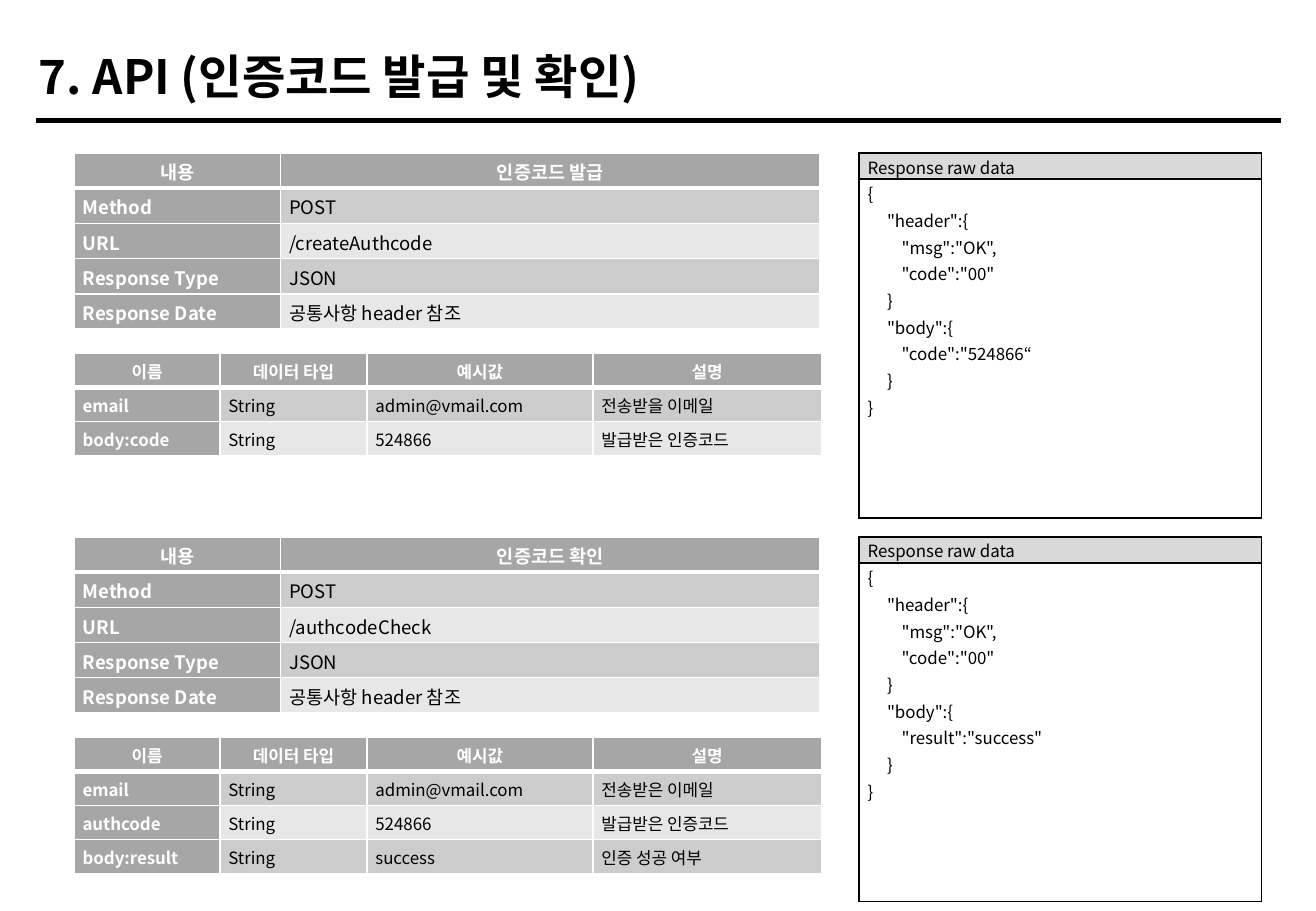
from lxml import etree
from pptx import Presentation
from pptx.dml.color import RGBColor
from pptx.enum import shapes, text
from pptx.oxml import ns
from pptx.util import Inches, Pt

FONT = "Noto Sans CJK KR"
BLACK = RGBColor(0x00, 0x00, 0x00)
WHITE = RGBColor(0xFF, 0xFF, 0xFF)
HEAD_GRAY = RGBColor(0xA6, 0xA6, 0xA6)
RAW_GRAY = RGBColor(0xD9, 0xD9, 0xD9)
BANDS = [RGBColor(0xCC, 0xCC, 0xCC), RGBColor(0xE7, 0xE7, 0xE7)]

# Content
TITLE = "7. API (인증코드 발급 및 확인)"
FIELD_HEAD = ("이름", "데이터 타입", "예시값", "설명")
RAW_HEAD = "Response raw data"
APIS = [
    {
        "name": "인증코드 발급",
        "url": "/createAuthcode",
        "fields": [
            ("email", "String", "admin@vmail.com", "전송받을 이메일"),
            ("body:code", "String", "524866", "발급받은 인증코드"),
        ],
        "body": '"code":"524866“',
    },
    {
        "name": "인증코드 확인",
        "url": "/authcodeCheck",
        "fields": [
            ("email", "String", "admin@vmail.com", "전송받은 이메일"),
            ("authcode", "String", "524866", "발급받은 인증코드"),
            ("body:result", "String", "success", "인증 성공 여부"),
        ],
        "body": '"result":"success"',
    },
]

# Layout, in inches
API_TOP, API_STEP = 1.26, 3.16
LEFT, RAW_LEFT = 0.61, 7.07
SUMMARY_COLS = [1.7, 4.44]
FIELD_COLS = [1.2, 1.21, 1.86, 1.88]
SUMMARY_ROW, FIELD_ROW = 0.29, 0.28
FIELDS_OFFSET = 1.65
RAW_ROWS = [0.18, 2.79]
JSON_INDENTS = [0, 0.16, 0.28]


def write(paragraph, words, size=10, color=BLACK, bold=False,
          align=text.PP_ALIGN.JUSTIFY, spacing=1.07, indent=0):
    paragraph.alignment = align
    paragraph.line_spacing = spacing
    if indent:
        paragraph._p.get_or_add_pPr().set("marL", str(Inches(indent)))
    run = paragraph.add_run()
    run.text = words
    run.font.name, run.font.size, run.font.bold = FONT, Pt(size), bold
    run.font.color.rgb = color
    east_asian = etree.SubElement(run._r.get_or_add_rPr(), ns.qn("a:ea"))
    east_asian.set("typeface", FONT)


def add_grid(slide, left, top, cols, rows):
    grid = slide.shapes.add_table(
        len(rows), len(cols), Inches(left), Inches(top),
        Inches(sum(cols)), Inches(sum(rows))).table
    grid.first_row = grid.horz_banding = False
    for column, width in zip(grid.columns, cols):
        column.width = Inches(width)
    for row, height in zip(grid.rows, rows):
        row.height = Inches(height)
    return grid


def style_cell(cell, fill, border, bottom=1, top=1):
    cell.margin_left = cell.margin_right = Inches(0.07)
    cell.margin_top = cell.margin_bottom = 0
    properties = cell._tc.get_or_add_tcPr()
    for side, width in (("L", 1), ("R", 1), ("T", top), ("B", bottom)):
        edge = etree.SubElement(properties, ns.qn(f"a:ln{side}"), w=str(Pt(width)))
        solid = etree.SubElement(edge, ns.qn("a:solidFill"))
        etree.SubElement(solid, ns.qn("a:srgbClr"), val=str(border))
    if fill is None:
        cell.fill.background()
    else:
        cell.fill.solid()
        cell.fill.fore_color.rgb = fill


def add_banded(slide, top, cols, row_height, records, size):
    grid = add_grid(slide, LEFT, top, cols, [row_height] * len(records))
    for r, record in enumerate(records):
        for c, words in enumerate(record):
            cell = grid.cell(r, c)
            heading = r == 0 or c == 0
            style_cell(cell, HEAD_GRAY if heading else BANDS[(r - 1) % 2], WHITE,
                       bottom=3 if r == 0 else 1, top=3 if r == 1 else 1)
            cell.vertical_anchor = text.MSO_ANCHOR.MIDDLE
            write(cell.text_frame.paragraphs[0], words, size=size, bold=heading,
                  color=WHITE if heading else BLACK,
                  align=text.PP_ALIGN.CENTER if r == 0 else text.PP_ALIGN.JUSTIFY)


def add_raw(slide, top, body):
    grid = add_grid(slide, RAW_LEFT, top, [3.31], RAW_ROWS)
    head, data = grid.cell(0, 0), grid.cell(1, 0)
    style_cell(head, RAW_GRAY, BLACK)
    write(head.text_frame.paragraphs[0], RAW_HEAD)
    style_cell(data, None, BLACK)
    lines = [(0, "{"), (1, '"header":{'), (2, '"msg":"OK",'), (2, '"code":"00"'),
             (1, "}"), (1, '"body":{'), (2, body), (1, "}"), (0, "}")]
    for i, (level, words) in enumerate(lines):
        frame = data.text_frame
        paragraph = frame.add_paragraph() if i else frame.paragraphs[0]
        write(paragraph, words, align=text.PP_ALIGN.LEFT, spacing=1.1,
              indent=JSON_INDENTS[level])


def main():
    deck = Presentation()
    deck.slide_width, deck.slide_height = Inches(10.83), Inches(7.5)
    slide = deck.slides.add_slide(deck.slide_layouts[5])

    # Title and rule
    title = slide.shapes.title
    title.left, title.top = Inches(0.22), Inches(0.29)
    title.width, title.height = Inches(7.95), Inches(0.62)
    frame = title.text_frame
    frame.margin_top = frame.margin_bottom = 0
    frame.vertical_anchor = text.MSO_ANCHOR.MIDDLE
    write(frame.paragraphs[0], TITLE, size=28, bold=True,
          align=text.PP_ALIGN.LEFT, spacing=1.1)
    rule = slide.shapes.add_connector(
        shapes.MSO_CONNECTOR.STRAIGHT,
        Inches(0.3), Inches(0.99), Inches(10.54), Inches(0.99))
    rule.line.color.rgb, rule.line.width = BLACK, Pt(3)
    etree.SubElement(rule._element.spPr, ns.qn("a:effectLst"))

    # One band of tables per API
    for i, api in enumerate(APIS):
        top = API_TOP + i * API_STEP
        summary = [("내용", api["name"]), ("Method", "POST"), ("URL", api["url"]),
                   ("Response Type", "JSON"), ("Response Date", "공통사항 header 참조")]
        add_banded(slide, top, SUMMARY_COLS, SUMMARY_ROW, summary, 11)
        add_banded(slide, top + FIELDS_OFFSET, FIELD_COLS, FIELD_ROW,
                   [FIELD_HEAD, *api["fields"]], 10)
        add_raw(slide, top, api["body"])

    deck.save("out.pptx")


if __name__ == "__main__":
    main()
